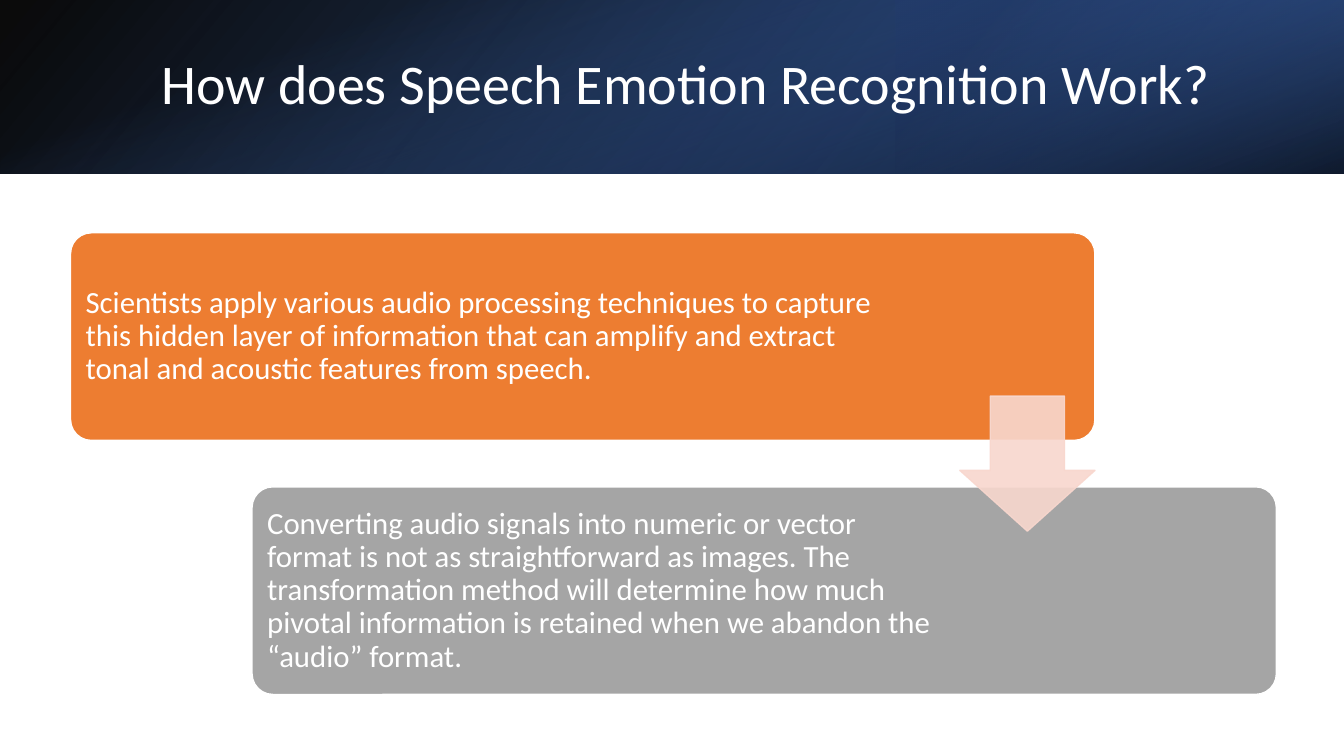
from pptx import Presentation
from pptx.dml.color import RGBColor
from pptx.enum.shapes import MSO_SHAPE as Shape
from pptx.enum.text import MSO_ANCHOR as Anchor, MSO_AUTO_SIZE as AutoSize, PP_ALIGN as Align
from pptx.oxml.ns import qn
from pptx.util import Inches, Pt

BLACK = RGBColor(0x00, 0x00, 0x00)
WHITE = RGBColor(0xFF, 0xFF, 0xFF)
NAVY = RGBColor(0x20, 0x38, 0x64)
DEEP_BLUE = RGBColor(0x2F, 0x55, 0x97)
BLUE = RGBColor(0x44, 0x72, 0xC4)
ORANGE = RGBColor(0xED, 0x7D, 0x31)
GREY = RGBColor(0xA5, 0xA5, 0xA5)
PINK = RGBColor(0xF8, 0xD7, 0xCE)

# Content
TITLE = "How does Speech Emotion Recognition Work?"
STEPS = [  # text, fill, text width
    ("Scientists apply various audio processing techniques to capture this hidden "
     "layer of information that can amplify and extract tonal and acoustic features "
     "from speech.", ORANGE, 8.03),
    ("Converting audio signals into numeric or vector format is not as straightforward "
     "as images. The transformation method will determine how much pivotal information "
     "is retained when we abandon the “audio” format.", GREY, 6.9),
]

# Layout, in inches
WIDTH, HEIGHT = 13.33, 7.5
BAND = 0.23 * HEIGHT
STEP_LEFT, STEP_TOP, STEP_WIDTH, STEP_HEIGHT = 0.7, 2.31, 10.16, 2.06
SHIFT_X, SHIFT_Y = 1.8, 2.52
PAD = 0.06
ARROW = 1.34

# Header layers: place, rotation, mirrored, clockwise angle, stops (share, colour, opacity)
LAYERS = [
    ((0, 0, WIDTH, BAND), 0, True, 140, [(0, BLACK, 96), (1, DEEP_BLUE, 100)]),
    ((WIDTH * 2 / 3, 0, WIDTH / 3, BAND), 180, True, 320,
     [(0.19, NAVY, 68), (1, BLUE, 79)]),
    (((WIDTH - BAND) / 2, (BAND - WIDTH) / 2, BAND, WIDTH), 90, False, 340,
     [(0.23, BLUE, 0), (0.99, BLACK, 74)]),
]


def add_plain(page, kind, place, fill=None, line=None):
    shape = page.shapes.add_shape(kind, *map(Inches, place))
    shape.shadow.inherit = False
    if fill is not None:
        shape.fill.solid()
        shape.fill.fore_color.rgb = fill
    if line is None:
        shape.line.fill.background()
    else:
        shape.line.color.rgb = line
        shape.line.width = Pt(1)
    return shape


def set_opacity(shape, percents):
    colours = list(shape.element.spPr.iter(qn("a:srgbClr")))
    for colour, percent in zip(colours, percents):
        alpha = colour.makeelement(qn("a:alpha"), {"val": str(percent * 1000)})
        colour.append(alpha)


def write(box, text, size, inset=0.1):
    frame = box.text_frame
    frame.word_wrap = True
    frame.auto_size = AutoSize.NONE
    frame.vertical_anchor = Anchor.MIDDLE
    frame.margin_left = frame.margin_right = Inches(inset)
    frame.margin_top = frame.margin_bottom = Inches(min(inset, 0.09))
    para = frame.paragraphs[0]
    para.alignment = Align.LEFT
    para.line_spacing = 0.9
    span = para.add_run()
    span.text = text
    span.font.name = "Calibri"
    span.font.size = Pt(size)
    span.font.color.rgb = WHITE


def add_header(page):
    for place, rotation, mirrored, angle, stops in LAYERS:
        layer = add_plain(page, Shape.RECTANGLE, place)
        layer.rotation = rotation
        if mirrored:
            layer.element.spPr.find(qn("a:xfrm")).set("flipH", "1")
        layer.fill.gradient()
        layer.fill.gradient_angle = 360 - angle
        for stop, (share, colour, _) in zip(layer.fill.gradient_stops, stops):
            stop.position = share
            stop.color.rgb = colour
        set_opacity(layer, [opacity for _, _, opacity in stops])

    # Title goes in front of the layers
    title = page.shapes.title
    title.left, title.top, title.width, title.height = map(Inches, (1.5, 0.38, 10.98, 0.96))
    write(title, TITLE, 40)
    title.element.getparent().append(title.element)


def add_steps(page):
    for index, (text, fill, text_width) in enumerate(STEPS):
        left = STEP_LEFT + index * SHIFT_X
        top = STEP_TOP + index * SHIFT_Y
        card = add_plain(page, Shape.ROUNDED_RECTANGLE,
                         (left, top, STEP_WIDTH, STEP_HEIGHT), fill, WHITE)
        card.adjustments[0] = 0.1
        box = page.shapes.add_textbox(*map(Inches, (
            left + PAD, top + PAD, text_width, STEP_HEIGHT - 2 * PAD)))
        write(box, text, 22, inset=0.09)

    # Arrow, centred on the gap and flush with the first card's right side
    gap_middle = STEP_TOP + (STEP_HEIGHT + SHIFT_Y) / 2
    arrow = add_plain(page, Shape.DOWN_ARROW,
                      (STEP_LEFT + STEP_WIDTH - ARROW, gap_middle - ARROW / 2, ARROW, ARROW),
                      PINK, PINK)
    arrow.adjustments[0] = 0.55
    arrow.adjustments[1] = 0.45
    set_opacity(arrow, [90, 90])


def main():
    deck = Presentation()
    deck.slide_width, deck.slide_height = Inches(WIDTH), Inches(HEIGHT)
    page = deck.slides.add_slide(deck.slide_layouts[5])
    add_header(page)
    add_steps(page)
    deck.save("out.pptx")


if __name__ == "__main__":
    main()
